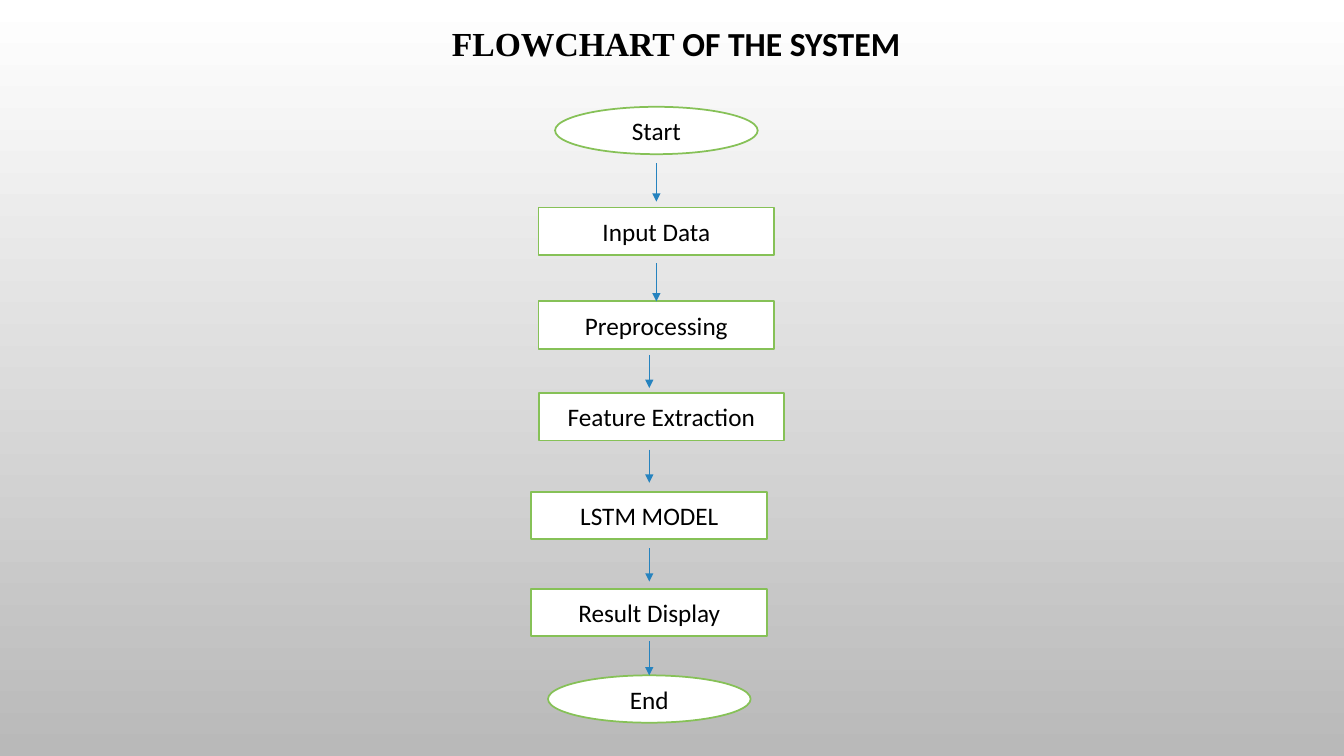
"""Build the flowchart slide of the system."""
from lxml import etree
from pptx import Presentation
from pptx.dml.color import RGBColor
from pptx.enum import shapes, text
from pptx.oxml import ns
from pptx.util import Inches, Pt

BLACK = RGBColor(0x00, 0x00, 0x00)
WHITE = RGBColor(0xFF, 0xFF, 0xFF)
GREY = RGBColor(0xB9, 0xB9, 0xB9)
GREEN = RGBColor(0x86, 0xC1, 0x57)
BLUE = RGBColor(0x26, 0x83, 0xBF)

OVAL = shapes.MSO_SHAPE.OVAL
BOX = shapes.MSO_SHAPE.RECTANGLE
STEP_HEIGHT = 0.47

STEPS = [
    ("Start", OVAL, 6.51, 1.06, 2.01),
    ("Input Data", BOX, 6.51, 2.06, 2.34),
    ("Preprocessing", BOX, 6.51, 2.99, 2.34),
    ("Feature Extraction", BOX, 6.56, 3.9, 2.43),
    ("LSTM MODEL", BOX, 6.44, 4.88, 2.34),
    ("Result Display", BOX, 6.44, 5.84, 2.34),
    ("End", OVAL, 6.44, 6.7, 2.01),
]

ARROWS = [
    (6.51, 1.62, 2.0, None),
    (6.51, 2.61, 2.99, "Preprocessing"),
    (6.44, 3.52, 3.85, None),
    (6.44, 4.46, 4.79, None),
    (6.44, 5.44, 5.77, None),
    (6.44, 6.36, 6.7, "End"),
]


def add_run(p, words, size, font="Calibri", bold=False):
    r = p.add_run()
    r.text = words
    r.font.name = font
    r.font.size = Pt(size)
    r.font.bold = bold
    r.font.color.rgb = BLACK


def set_background(s):
    fill = s.background.fill
    fill.gradient()
    fill.gradient_angle = 270
    for stop, color, position in zip(fill.gradient_stops, (WHITE, GREY), (0, 1)):
        stop.color.rgb = color
        stop.position = position


def set_title(s):
    sp = s.shapes.title
    sp.left, sp.top = Inches(0.08), Inches(0.08)
    sp.width, sp.height = Inches(13.25), Inches(0.7)
    tf = sp.text_frame
    tf.auto_size = text.MSO_AUTO_SIZE.NONE
    tf.vertical_anchor = text.MSO_ANCHOR.MIDDLE
    p = tf.paragraphs[0]
    p.alignment = text.PP_ALIGN.CENTER
    add_run(p, "FLOWCHART", 24, "Times New Roman", True)
    add_run(p, " OF THE SYSTEM", 24, bold=True)


def add_step(s, label, kind, center, top, width):
    sp = s.shapes.add_shape(kind, Inches(center - width / 2), Inches(top),
                            Inches(width), Inches(STEP_HEIGHT))
    sp.shadow.inherit = False
    sp.fill.solid()
    sp.fill.fore_color.rgb = WHITE
    sp.line.color.rgb = GREEN
    sp.line.width = Pt(1.25)
    tf = sp.text_frame
    tf.vertical_anchor = text.MSO_ANCHOR.MIDDLE
    p = tf.paragraphs[0]
    p.alignment = text.PP_ALIGN.CENTER
    add_run(p, label, 18)
    return sp


def add_arrow(s, x, top, bottom, target):
    arrow = s.shapes.add_connector(shapes.MSO_CONNECTOR.STRAIGHT, Inches(x),
                                   Inches(top), Inches(x), Inches(bottom))
    if target is not None:
        arrow.end_connect(target, 0)
    arrow.line.color.rgb = BLUE
    arrow.line.width = Pt(0.75)
    etree.SubElement(arrow.line._get_or_add_ln(), ns.qn("a:tailEnd"), type="triangle")
    etree.SubElement(arrow._element.spPr, ns.qn("a:effectLst"))


def main():
    prs = Presentation()
    prs.slide_width, prs.slide_height = Inches(13.33), Inches(7.5)
    s = prs.slides.add_slide(prs.slide_layouts.get_by_name("Title Only"))
    set_background(s)
    set_title(s)
    steps = {step[0]: add_step(s, *step) for step in STEPS}
    for x, top, bottom, target in ARROWS:
        add_arrow(s, x, top, bottom, steps.get(target))
    prs.save("out.pptx")


if __name__ == "__main__":
    main()
